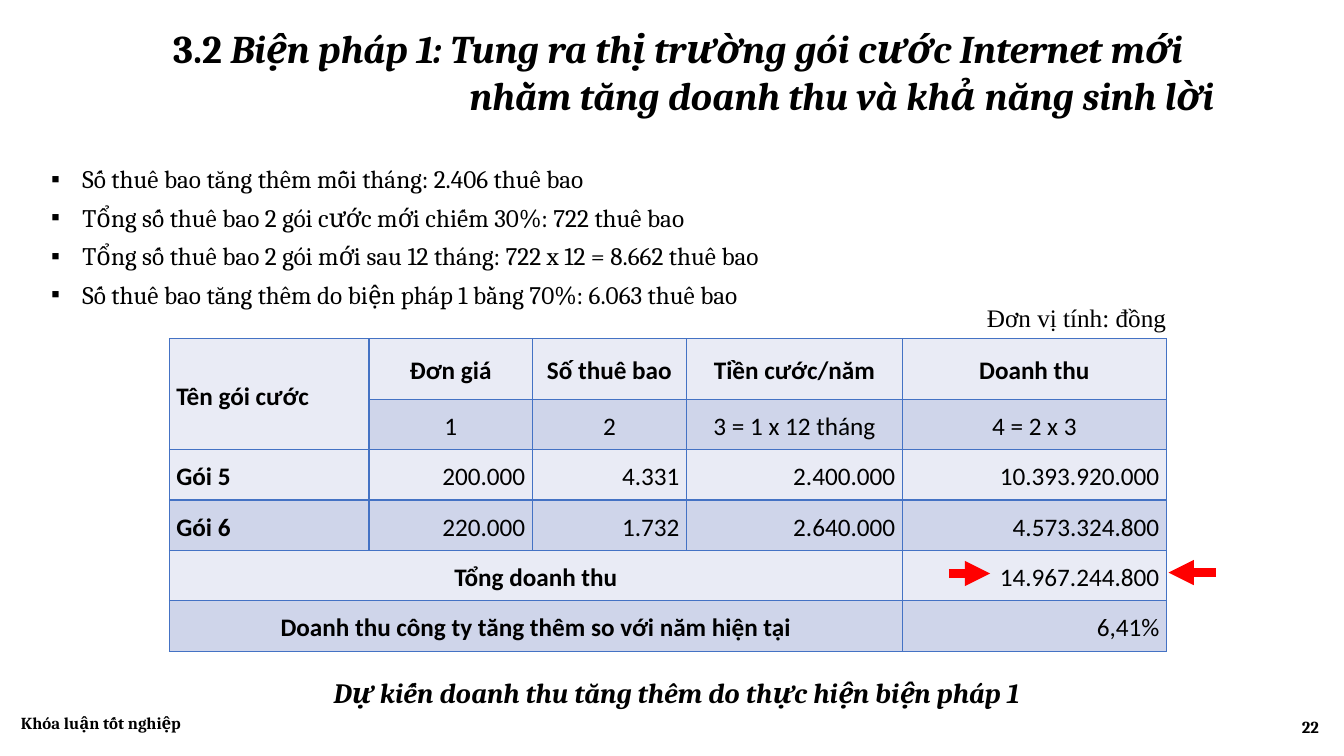
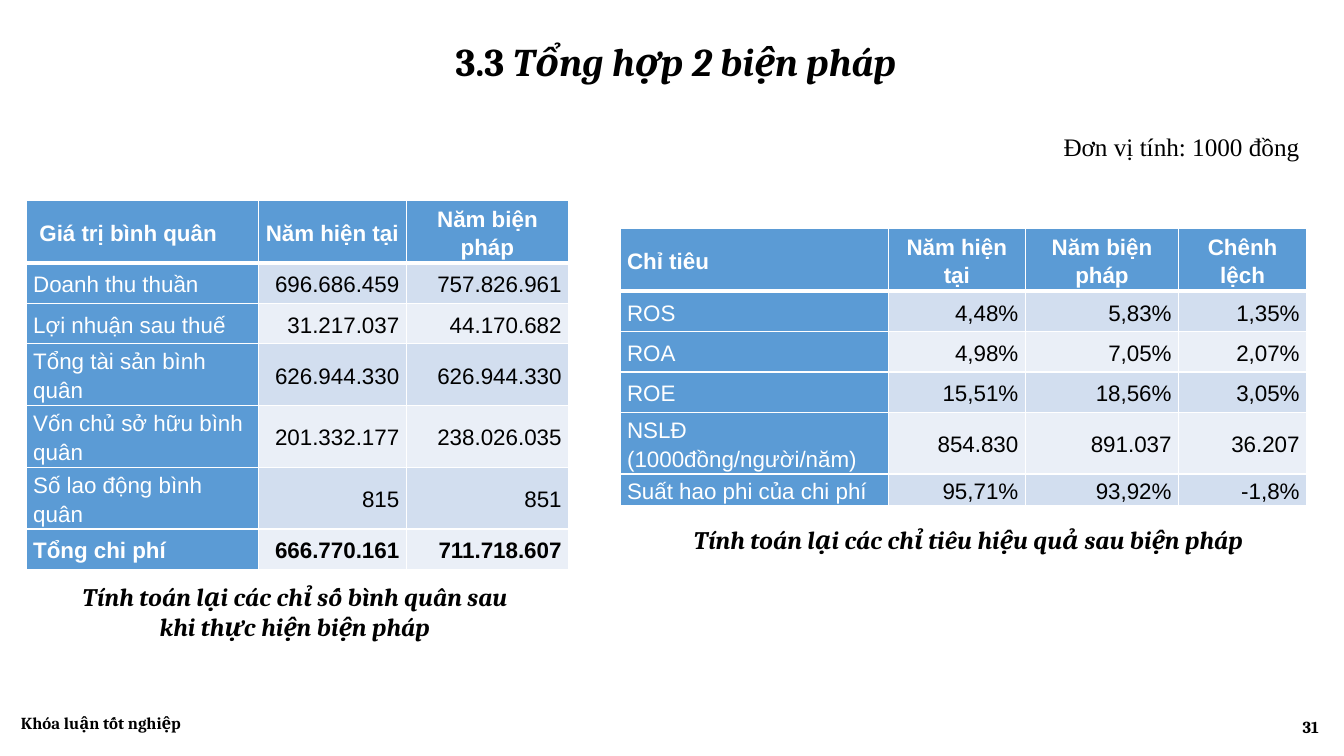
from lxml import etree
from pptx import Presentation
from pptx.dml.color import RGBColor
from pptx.enum.shapes import MSO_CONNECTOR
from pptx.enum.text import MSO_ANCHOR, PP_ALIGN
from pptx.oxml.ns import qn
from pptx.util import Inches, Pt

LEFT, MID, RIGHT = PP_ALIGN.LEFT, PP_ALIGN.CENTER, PP_ALIGN.RIGHT
JUST = PP_ALIGN.JUSTIFY
TOP, CENTRE = MSO_ANCHOR.TOP, MSO_ANCHOR.MIDDLE
STRAIGHT = MSO_CONNECTOR.STRAIGHT
HEX = {
    "ink": "000000", "white": "FFFFFF", "red": "FF0000", "rule": "4472C4",
    "pale": "E9EBF5", "deep": "CFD5EA",
    "head": "5B9BD5", "odd": "D2DEEF", "even": "EAEFF7",
}


class Deck:
    """Holds the shared style and the slide being built."""

    def __init__(self):
        self.prs = Presentation()
        self.prs.slide_width = Inches(13.33)
        self.prs.slide_height = Inches(7.5)

    def start(self, number):
        self.slide = self.prs.slides.add_slide(self.prs.slide_layouts[6])
        self.text((0.11, 6.97, 3, 0.4), ["Khóa luận tốt nghiệp"], 12,
                  bold=True, anchor=CENTRE)
        self.text((10.18, 7.01, 3, 0.4), [number], 12,
                  bold=True, align=RIGHT, anchor=CENTRE)

    def style(self, para, size, face="Cambria", bold=False, italic=None,
              color="ink", align=LEFT):
        para.alignment = align
        font = para.font
        font.size, font.name = Pt(size), face
        font.bold, font.italic = bold, italic
        font.color.rgb = RGBColor.from_string(HEX[color])

    def text(self, at, lines, size, anchor=TOP, mark=None, **look):
        box = self.slide.shapes.add_textbox(*map(Inches, at))
        frame = box.text_frame
        frame.word_wrap = True
        frame.vertical_anchor = anchor
        for i, line in enumerate(lines):
            para = frame.add_paragraph() if i else frame.paragraphs[0]
            para.add_run().text = line
            if mark:
                self.bullet(para, mark)
            self.style(para, size, **look)
        return frame

    def title(self, at, number, lines):
        frame = self.text(at, [number + " "] + lines[1:], 28, bold=True)
        first, *rest = frame.paragraphs
        run = first.add_run()
        run.text = lines[0]
        for part in [run] + [para.runs[0] for para in rest]:
            part.font.italic = True
        return frame

    def indent(self, para, left, hang=0):
        props = para._p.get_or_add_pPr()
        props.set("marL", str(Inches(left)))
        props.set("indent", str(Inches(hang)))
        return props

    def bullet(self, para, mark):
        props = self.indent(para, 0.31, -0.31)
        etree.SubElement(props, qn("a:buFont")).set("typeface", "Arial")
        etree.SubElement(props, qn("a:buChar")).set("char", mark)
        para.space_after = Pt(6)

    def caption(self, at, words, size, align=LEFT):
        self.text(at, [words], size, bold=True, italic=True, align=align)

    def unit(self, at, words):
        frame = self.text(at, [words], 18, face="Times New Roman")
        frame.paragraphs[0].line_spacing = 1.15

    def arrow(self, start, end):
        line = self.slide.shapes.add_connector(
            STRAIGHT, *map(Inches, start + end))
        line.line.color.rgb = RGBColor.from_string(HEX["red"])
        line.line.width = Pt(6)
        tail = etree.SubElement(line.line._get_or_add_ln(), qn("a:tailEnd"))
        tail.set("type", "triangle")
        etree.SubElement(line._element.spPr, qn("a:effectLst"))

    def edges(self, cell, color, base):
        props = cell._tc.get_or_add_tcPr()
        for i, side in enumerate("LRTB"):
            edge = etree.Element(qn("a:ln" + side))
            edge.set("w", str(Pt(base if side == "B" else 1)))
            fill = etree.SubElement(edge, qn("a:solidFill"))
            etree.SubElement(fill, qn("a:srgbClr")).set("val", HEX[color])
            props.insert(i, edge)

    def grid(self, at, cols, rows, data, look, rule, size, face,
             spans=(), base=1):
        frame = self.slide.shapes.add_table(
            len(rows), len(cols), *map(Inches, at + (sum(cols), sum(rows))))
        table = frame.table
        for col, width in zip(table.columns, cols):
            col.width = Inches(width)
        for row, height in zip(table.rows, rows):
            row.height = Inches(height)
        for r, line in enumerate(data):
            for c, words in enumerate(line):
                cell = table.cell(r, c)
                fill, style = look(r, c)
                cell.fill.solid()
                cell.fill.fore_color.rgb = RGBColor.from_string(HEX[fill])
                cell.margin_left = cell.margin_right = Inches(0.07)
                cell.margin_top = cell.margin_bottom = 0
                cell.vertical_anchor = CENTRE
                para = cell.text_frame.paragraphs[0]
                para.text = words
                para.line_spacing = 1.15
                self.style(para, size, face, **style)
                self.edges(cell, rule, 1 if r else base)
        for r, c, down, over in spans:
            table.cell(r, c).merge(table.cell(down, over))

    def banded(self, at, cols, rows, data, total=None):
        def look(r, c):
            fill = "head" if r == 0 or c == 0 else ("even", "odd")[r % 2]
            align = LEFT if c == 0 else RIGHT if r else MID
            return fill, {"align": align, "bold": r in (0, total),
                          "color": "white" if fill == "head" else "ink"}
        self.grid(at, cols, rows, data, look, "white", 16, "Arial", base=3)


def fees(r, c):
    align = MID if r < 2 or (r > 3 and c == 0) else RIGHT
    if c == 0 and r < 4:
        align = LEFT
    return ("pale", "deep")[r % 2], {"bold": r == 0 or c == 0, "align": align}


def main():
    deck = Deck()

    deck.start("22")
    head = deck.title((1.62, 0.19, 10.67, 1.04), "3.2", [
        "Biện pháp 1: Tung ra thị trường gói cước Internet mới",
        "nhằm tăng doanh thu và khả năng sinh lời"])
    deck.indent(head.paragraphs[1], 2.94)
    deck.text((0.41, 1.57, 7.76, 1.57), [
        "Số thuê bao tăng thêm mỗi tháng: 2.406 thuê bao",
        "Tổng số thuê bao 2 gói cước mới chiếm 30%: 722 thuê bao",
        "Tổng số thuê bao 2 gói mới sau 12 tháng: 722 x 12 = 8.662 thuê bao",
        "Số thuê bao tăng thêm do biện pháp 1 bằng 70%: 6.063 thuê bao",
    ], 18, mark="▪", align=JUST)
    deck.grid((1.68, 3.36), [1.98, 1.62, 1.53, 2.14, 2.62],
              [0.6] + [0.5] * 5, [
        ["Tên gói cước", "Đơn giá", "Số thuê bao", "Tiền cước/năm",
         "Doanh thu"],
        ["", "1", "2", "3 = 1 x 12 tháng", "4 = 2 x 3"],
        ["Gói 5", "200.000", "4.331", "2.400.000", "10.393.920.000"],
        ["Gói 6", "220.000", "1.732", "2.640.000", "4.573.324.800"],
        ["Tổng doanh thu", "", "", "", "14.967.244.800"],
        ["Doanh thu công ty tăng thêm so với năm hiện tại", "", "", "",
         "6,41%"],
    ], fees, "rule", 18, "Calibri",
              spans=[(0, 0, 1, 0), (4, 0, 4, 3), (5, 0, 5, 3)])
    deck.caption((3.21, 6.65, 7.22, 0.44),
                 "Dự kiến doanh thu tăng thêm do thực hiện biện pháp 1", 20)
    deck.unit((9.69, 2.91, 2.03, 0.45), "Đơn vị tính: đồng")
    deck.arrow((9.41, 5.69), (9.82, 5.69))
    deck.arrow((12.06, 5.68), (11.59, 5.68))

    deck.start("31")
    deck.title((4.42, 0.32, 4.82, 0.57), "3.3", ["Tổng hợp 2 biện pháp"])
    deck.banded((0.26, 1.99), [2.3, 1.47, 1.61],
                [0.62] + [0.4] * 2 + [0.61] * 3 + [0.4], [
        [" Giá trị bình quân", "Năm hiện tại", "Năm biện pháp"],
        ["Doanh thu thuần", "696.686.459", "757.826.961"],
        ["Lợi nhuận sau thuế", "31.217.037", "44.170.682"],
        ["Tổng tài sản bình quân", "626.944.330", "626.944.330"],
        ["Vốn chủ sở hữu bình quân", "201.332.177", "238.026.035"],
        ["Số lao động bình quân", "815", "851"],
        ["Tổng chi phí", "666.770.161", "711.718.607"],
    ], total=6)
    deck.banded((6.15, 2.27), [2.66, 1.36, 1.52, 1.27],
                [0.62] + [0.4] * 3 + [0.61, 0.31], [
        ["Chỉ tiêu", "Năm hiện tại", "Năm biện pháp", "Chênh lệch"],
        ["ROS", "4,48%", "5,83%", "1,35%"],
        ["ROA", "4,98%", "7,05%", "2,07%"],
        ["ROE", "15,51%", "18,56%", "3,05%"],
        ["NSLĐ (1000đồng/người/năm)", "854.830", "891.037", "36.207"],
        ["Suất hao phi của chi phí", "95,71%", "93,92%", "-1,8%"],
    ])
    deck.caption((0.52, 5.72, 4.81, 0.71), "Tính toán lại các chỉ số bình "
                 "quân sau khi thực hiện biện pháp", 18, MID)
    deck.caption((6.78, 5.15, 5.75, 0.4),
                 "Tính toán lại các chỉ tiêu hiệu quả sau biện pháp", 18)
    deck.unit((10.45, 1.21, 2.7, 0.45), "Đơn vị tính: 1000 đồng")

    deck.prs.save("out.pptx")


if __name__ == "__main__":
    main()
